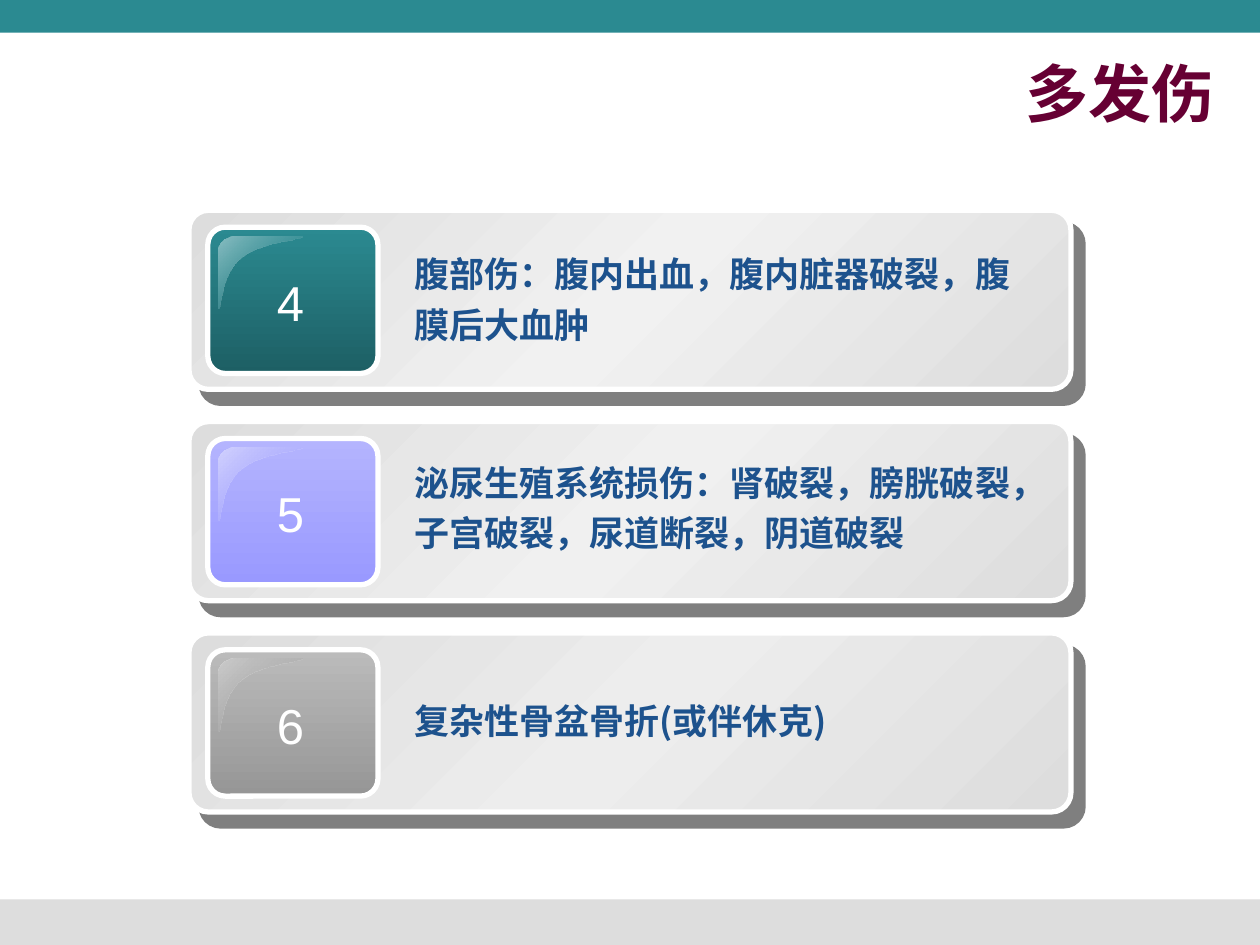
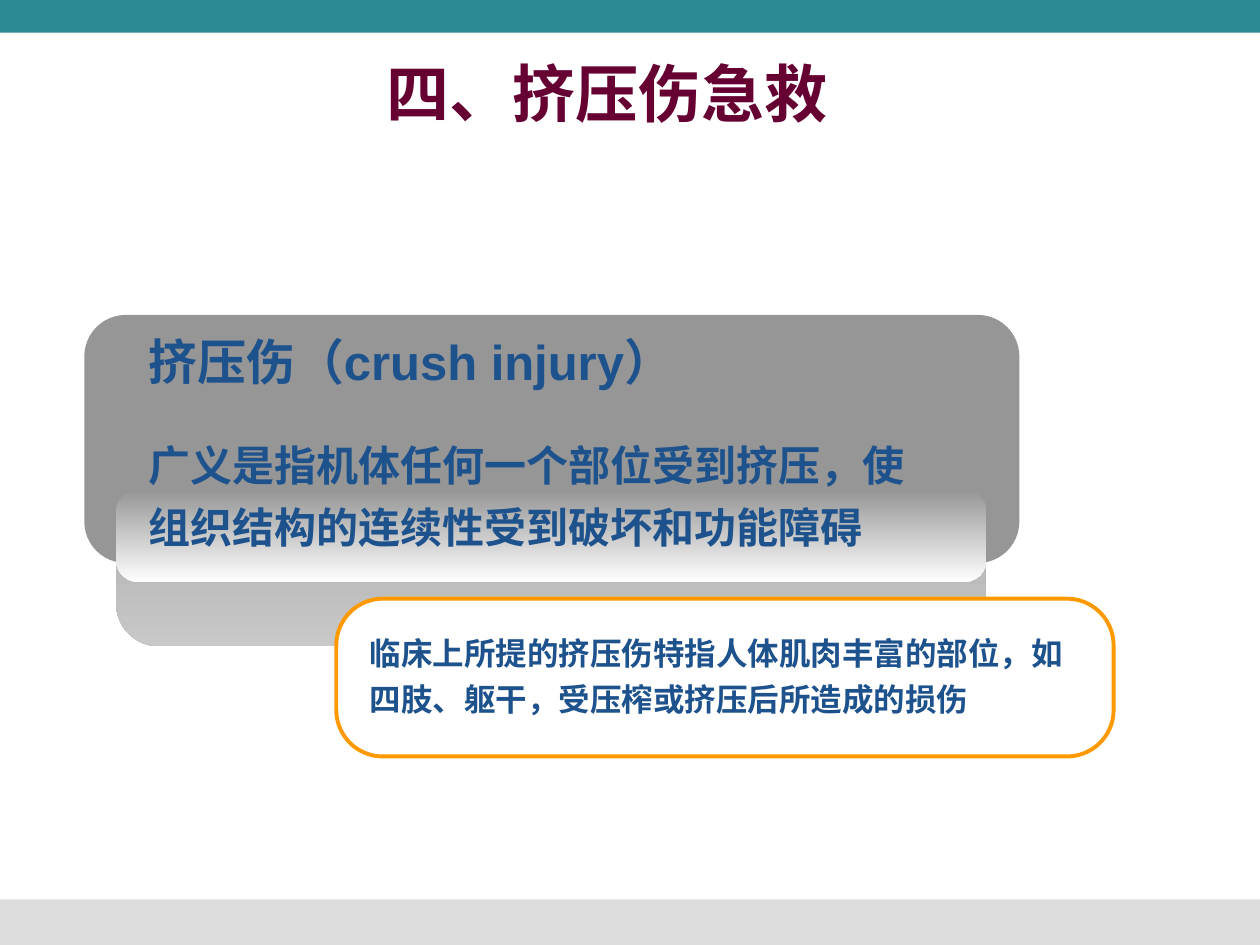
from lxml import etree
from pptx import Presentation
from pptx.dml.color import RGBColor
from pptx.enum.shapes import MSO_SHAPE
from pptx.enum.text import MSO_ANCHOR, PP_ALIGN
from pptx.oxml.ns import qn
from pptx.util import Cm, Pt

RECTANGLE = MSO_SHAPE.RECTANGLE
ROUNDED = MSO_SHAPE.ROUNDED_RECTANGLE
LEFT, CENTER, RIGHT = PP_ALIGN.LEFT, PP_ALIGN.CENTER, PP_ALIGN.RIGHT
TOP, MIDDLE = MSO_ANCHOR.TOP, MSO_ANCHOR.MIDDLE

# Shared look
WIDTH, HEIGHT = 25.4, 19.05
TEAL, SILVER, WHITE = "2B8A91", "DDDDDD", "FFFFFF"
GREY, NAVY, MAROON, ORANGE = "969696", "1D528D", "660033", "FF9900"
DOWN, TO_TOP_LEFT = 90, 225  # clockwise gradient angles

TITLE = {"name": "DejaVu Sans", "size": Pt(36), "bold": True, "color": MAROON}
NUMBER = {"name": "Arial", "size": Pt(28), "color": WHITE}
CARD_TEXT = {"name": "Noto Sans CJK SC", "size": Pt(20), "bold": True, "color": NAVY}
HEADING = {"name": "Arial", "size": Pt(28), "bold": True, "color": NAVY}
BODY = {**HEADING, "size": Pt(24)}
NOTE = {**HEADING, "size": Pt(18)}

# Injury cards: number, text, text offset, line spacing, tile colours, card middle, gloss
CARD_TOP, CARD_PITCH = 4.24, 4.26
CARDS = [
    ("4", "腹部伤：腹内出血，腹内脏器破裂，腹膜后大血肿", 0.56, 1.2,
     (TEAL, "1D5F64"), "F1F1F1", (TEAL, "8ABEC2")),
    ("5", "泌尿生殖系统损伤：肾破裂，膀胱破裂，子宫破裂，尿道断裂，阴道破裂", 0.51, 1.2,
     ("B4B4FE", "9999FF"), "F0F0F0", ("9999FF", "D2D2FE")),
    ("6", "复杂性骨盆骨折(或伴休克)", 1.22, 1.0,
     ("BBBBBB", GREY), "EDEDED", (GREY, "CBCBCB")),
]

# Gloss outline in cm: cubic curves joined by straight lines
GLOSS_CURVES = [
    [(0.33, 0), (0.15, 0), (0, 0.13), (0, 0.3)],
    [(0, 1.47), (0.08, 1.47), (0.03, 0.76), (0.46, 0.43)],
    [(0.46, 0.43), (0.89, 0.1), (1.7, 0.08), (1.68, 0)],
]


def rgb(value):
    return RGBColor.from_string(value)


def add_color(parent, value, opacity):
    color = etree.SubElement(parent, qn("a:srgbClr"), val=value)
    etree.SubElement(color, qn("a:alpha"), val=str(opacity * 1000))


def paint(shape, fill, angle=DOWN):
    """Fill with one colour, or with (position, colour, opacity) stops."""
    if isinstance(fill, str):
        shape.fill.solid()
        shape.fill.fore_color.rgb = rgb(fill)
        return
    shape.fill.gradient()
    shape.fill.gradient_angle = 360 - angle
    stops = shape._element.spPr.find(qn("a:gradFill")).find(qn("a:gsLst"))
    stops.clear()
    for position, value, opacity in fill:
        stop = etree.SubElement(stops, qn("a:gs"), pos=str(position * 1000))
        add_color(stop, value, opacity)


def blend(*colors):
    last = len(colors) - 1
    return [(100 * i // last, value, 100) for i, value in enumerate(colors)]


def add_panel(slide, kind, box, fill, angle=DOWN, corner=None, line=None, line_width=3):
    shape = slide.shapes.add_shape(kind, *map(Cm, box))
    shape.shadow.inherit = False
    paint(shape, fill, angle)
    if corner is not None:
        shape.adjustments[0] = corner
    if line:
        shape.line.color.rgb = rgb(line)
        shape.line.width = Pt(line_width)
    else:
        shape.line.fill.background()
    return shape


def add_drop_shadow(shape):
    effects = shape._element.spPr.find(qn("a:effectLst"))
    shadow = etree.SubElement(effects, qn("a:outerShdw"), dist=str(Pt(10.6)),
                              dir=str(49 * 60000), algn="ctr", rotWithShape="0")
    add_color(shadow, "000000", 50)


def style_run(run, style):
    for name, value in style.items():
        if name == "color":
            run.font.color.rgb = rgb(value)
        else:
            setattr(run.font, name, value)
    east_asian = etree.Element(qn("a:ea"), typeface=style["name"])
    run.font._element.find(qn("a:latin")).addnext(east_asian)


def add_text(slide, box, paragraphs, align=LEFT, anchor=TOP, wrap=True):
    """Each paragraph is (text, style, paragraph format)."""
    frame = slide.shapes.add_textbox(*map(Cm, box)).text_frame
    frame.word_wrap = wrap
    frame.vertical_anchor = anchor
    for index, (text, style, layout) in enumerate(paragraphs):
        paragraph = frame.add_paragraph() if index else frame.paragraphs[0]
        paragraph.alignment = align
        for name, value in layout.items():
            setattr(paragraph, name, value)
        run = paragraph.add_run()
        run.text = text
        style_run(run, style)


def curve_points(start, first, second, end, steps=12):
    for step in range(steps + 1):
        t = step / steps
        weights = (1 - t) ** 3, 3 * t * (1 - t) ** 2, 3 * t ** 2 * (1 - t), t ** 3
        yield tuple(sum(w * p[axis] for w, p in zip(weights, (start, first, second, end)))
                    for axis in (0, 1))


def add_gloss(slide, left, top, base, light):
    points = [(Cm(left + x), Cm(top + y))
              for curve in GLOSS_CURVES for x, y in curve_points(*curve)]
    builder = slide.shapes.build_freeform(*points[0])
    builder.add_line_segments(points[1:], close=True)
    gloss = builder.convert_to_shape()
    gloss.shadow.inherit = False
    gloss.line.fill.background()
    paint(gloss, [(0, base, 0), (100, light, 100)], TO_TOP_LEFT)


def add_card(slide, top, number, text, text_offset, spacing, tile, middle, gloss):
    card = add_panel(slide, ROUNDED, (3.81, top, 17.78, 3.61),
                     blend(SILVER, middle, SILVER), TO_TOP_LEFT, 0.109, WHITE)
    add_drop_shadow(card)
    add_panel(slide, ROUNDED, (4.19, top + 0.34, 3.43, 2.95), blend(*tile),
              corner=0.119, line=WHITE)
    add_gloss(slide, 4.41, top + 0.52, *gloss)
    add_text(slide, (5.33, top + 1.13, 1.04, 1.45), [(number, NUMBER, {})],
             CENTER, wrap=False)
    add_text(slide, (8.1, top + text_offset, 13.06, 2.49),
             [(text, CARD_TEXT, {"line_spacing": spacing})])


def add_page(presentation, title, title_width, align):
    slide = presentation.slides.add_slide(presentation.slide_layouts[6])
    add_panel(slide, RECTANGLE, (0, 18.13, WIDTH, 0.92), SILVER)
    add_panel(slide, RECTANGLE, (0, 0, WIDTH, 0.66), TEAL)
    add_text(slide, (1.47, 1.07, title_width, 1.57), [(title, TITLE, {})], align, MIDDLE)
    return slide


def build_multiple_injuries(presentation):
    slide = add_page(presentation, "多发伤", 23.27, RIGHT)
    for row, card in enumerate(CARDS):
        add_card(slide, CARD_TOP + row * CARD_PITCH, *card)


def build_crush_injury(presentation):
    slide = add_page(presentation, "四、挤压伤急救", 21.54, CENTER)

    # Definition panel with its reflection
    add_panel(slide, ROUNDED, (2.34, 7.82, 17.55, 5.21), blend(GREY, "C8C8C8"), corner=0.167)
    add_panel(slide, ROUNDED, (1.7, 6.35, 18.85, 5), GREY, corner=0.167)
    add_panel(slide, ROUNDED, (2.34, 9.88, 17.55, 1.85), blend(GREY, "FEFEFE"), corner=0.237)
    line = {"line_spacing": Pt(35.4)}
    add_text(slide, (2.74, 6.55, 16.51, 4.65), [
        ("挤压伤（crush injury）", HEADING, {}),
        ("广义是指机体任何一个部位受到挤压，使", BODY, {**line, "space_before": Pt(22)}),
        ("组织结构的连续性受到破坏和功能障碍", BODY, line),
    ])

    # Clinical note
    add_panel(slide, ROUNDED, (6.78, 12.07, 15.67, 3.18), WHITE,
              corner=0.295, line=ORANGE, line_width=2.25)
    add_text(slide, (7.2, 12.5, 14.61, 2.08), [
        ("临床上所提的挤压伤特指人体肌肉丰富的部位，如四肢、躯干，受压榨或挤压后所造成的损伤",
         NOTE, {"line_spacing": Pt(26.3)}),
    ])


def main():
    presentation = Presentation()
    presentation.slide_width, presentation.slide_height = Cm(WIDTH), Cm(HEIGHT)
    build_multiple_injuries(presentation)
    build_crush_injury(presentation)
    presentation.save("out.pptx")


if __name__ == "__main__":
    main()
